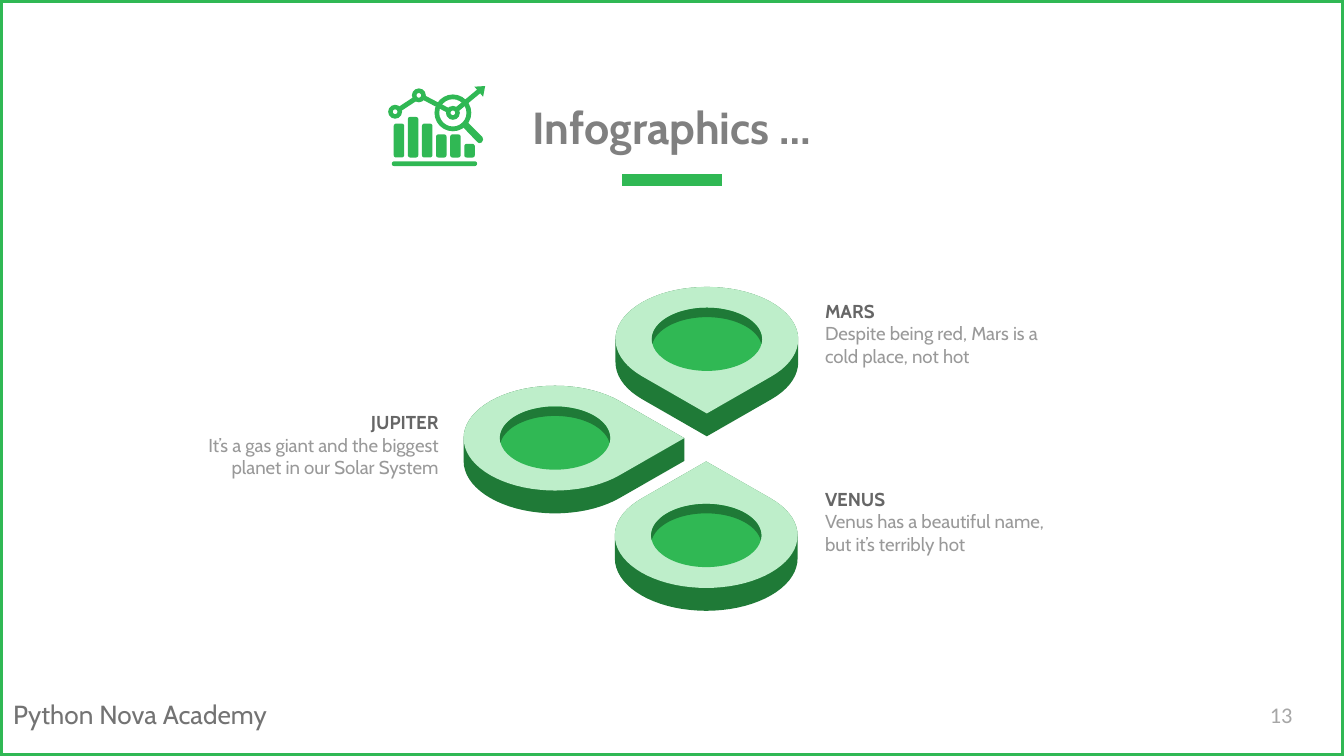
from dataclasses import dataclass
from math import asin, cos, degrees, radians, sin, sqrt

from lxml import etree
from pptx import Presentation
from pptx.dml.color import RGBColor
from pptx.enum.shapes import MSO_CONNECTOR, MSO_SHAPE
from pptx.enum.text import MSO_ANCHOR, PP_ALIGN
from pptx.oxml.ns import qn
from pptx.util import Inches, Pt

RECT, OVAL = MSO_SHAPE.RECTANGLE, MSO_SHAPE.OVAL
ROUNDED, RING = MSO_SHAPE.ROUNDED_RECTANGLE, MSO_SHAPE.DONUT
STRAIGHT = MSO_CONNECTOR.STRAIGHT
LEFT, CENTER, RIGHT = PP_ALIGN.LEFT, PP_ALIGN.CENTER, PP_ALIGN.RIGHT
TOP, MIDDLE, BOTTOM = MSO_ANCHOR.TOP, MSO_ANCHOR.MIDDLE, MSO_ANCHOR.BOTTOM

COLS, ROWS = 100, 56.25  # square grid cells, a tenth of an inch each
CELL = Inches(0.1)


@dataclass(frozen=True)
class Theme:
    green: str = "30B854"
    dark: str = "1F7A37"
    pale: str = "BEEECA"
    title: tuple = ("Cabin", 24, "808080", True)
    heading: tuple = ("Cabin", 10, "666666", True)
    body: tuple = ("Cabin", 10, "999999", False)
    footer: tuple = ("Cabin", 14, "737373", False)
    number: tuple = ("Calibri", 12, "A6A6A6", False)


def cells(*values):
    return [round(v * CELL) for v in values]


def arc(cx, cy, rx, ry, start, end, steps=54):
    """Points on an ellipse; degrees run clockwise from the right."""
    angles = [radians(start + (end - start) * i / steps) for i in range(steps + 1)]
    return [(cx + rx * cos(a), cy + ry * sin(a)) for a in angles]


class SlideBuilder:
    # Pin measures, in grid cells
    OUTER = (6.8, 3.9)
    HOLE = (4.1, 2.35)
    DEPTH = 1.7
    SHADE = 0.7

    def __init__(self, slide, theme):
        self.shapes, self.theme = slide.shapes, theme

    def paint(self, sp, color):
        sp.shadow.inherit = False
        sp.fill.solid()
        sp.fill.fore_color.rgb = RGBColor.from_string(color)
        sp.line.fill.background()

    def shape(self, kind, x, y, w, h, color, adjust=None):
        sp = self.shapes.add_shape(kind, *cells(x, y, w, h))
        self.paint(sp, color)
        if adjust is not None:
            sp.adjustments[0] = adjust
        return sp

    def polygon(self, points, color):
        start, *rest = [cells(*point) for point in points]
        builder = self.shapes.build_freeform(*start)
        builder.add_line_segments(rest, close=True)
        self.paint(builder.convert_to_shape(), color)

    def frame(self, color, width):
        sp = self.shape(RECT, 0, 0, COLS, ROWS, color)
        sp.fill.background()
        sp.line.color.rgb = RGBColor.from_string(color)
        sp.line.width = Pt(width)

    def rule(self, x1, x2, y, color, width):
        line = self.shapes.add_connector(STRAIGHT, *cells(x1, y, x2, y))
        line.line.color.rgb = RGBColor.from_string(color)
        line.line.width = Pt(width)
        etree.SubElement(line._element.spPr, qn("a:effectLst"))

    def text(self, x, y, w, h, lines, align=LEFT, anchor=TOP, inset=1):
        """Each line is a (text, style) pair and becomes a paragraph."""
        tf = self.shapes.add_textbox(*cells(x, y, w, h)).text_frame
        side, edge = cells(1, inset)
        frame_format = dict(word_wrap=True, vertical_anchor=anchor,
                            margin_left=side, margin_right=side,
                            margin_top=edge, margin_bottom=edge)
        for name, value in frame_format.items():
            setattr(tf, name, value)
        for i, (words, (font, size, color, bold)) in enumerate(lines):
            p = tf.add_paragraph() if i else tf.paragraphs[0]
            p.alignment = align
            r = p.add_run()
            r.text = words
            for name, value in dict(name=font, size=Pt(size), bold=bold).items():
                setattr(r.font, name, value)
            r.font.color.rgb = RGBColor.from_string(color)

    def pin(self, cx, cy, direction):
        """Isometric pin whose tip points to the direction in degrees."""
        t, (rx, ry) = self.theme, self.OUTER
        tip = arc(cx, cy, rx * sqrt(2), ry * sqrt(2), direction, direction, 1)[0]
        face = [tip] + arc(cx, cy, rx, ry, direction + 45, direction + 315)
        lower = sorted((x, y + self.DEPTH) for x, y in face if y > cy - 0.01)
        upper = sorted(((x, y) for x, y in face if y < cy + 0.01), reverse=True)
        self.polygon(lower + upper, t.dark)
        self.polygon(face, t.pale)

        rx, ry = self.HOLE
        self.shape(OVAL, cx - rx, cy - ry, 2 * rx, 2 * ry, t.green)
        cut = degrees(asin(self.SHADE / 2 / ry))
        self.polygon(arc(cx, cy, rx, ry, 180 - cut, 360 + cut)
                     + arc(cx, cy + self.SHADE, rx, ry, 360 - cut, 180 + cut),
                     t.dark)

    def chart_icon(self):
        green = self.theme.green
        for i, top in enumerate((9.2, 8.7, 9.2, 10, 10, 10.7)):
            self.shape(ROUNDED, 29.3 + 1.05 * i, top, 0.78, 11.72 - top, green, 0.22)
        self.shape(ROUNDED, 29.15, 12, 6.35, 0.36, green, 0.5)
        for cx, cy, r, band in ((29.4, 8.32, 0.52, 0.33), (31.17, 7.1, 0.52, 0.33),
                                (33.7, 8.4, 0.52, 0.33), (33.7, 8.4, 1.37, 0.13)):
            self.shape(RING, cx - r, cy - r, 2 * r, 2 * r, green, band)
        links = [
            [(29.8, 8.3), (29.6, 8), (30.8, 7.2), (31, 7.5)],
            [(33.3, 8.4), (31.4, 7.4), (31.6, 7.1), (33.5, 8.1)],
            [(34.1, 8.3), (33.9, 8), (35.7, 6.5), (35.9, 6.8)],
        ]
        arrowhead = [(35.3, 6.45), (36.1, 6.4), (35.95, 7.2)]
        handle = [(34.35, 9.35), (34.7, 9), (35.9, 10.2), (35.95, 10.4),
                  (35.85, 10.6), (35.65, 10.65), (35.5, 10.55)]
        for points in (*links, arrowhead, handle):
            self.polygon(points, green)


def main():
    prs = Presentation()
    prs.slide_width, prs.slide_height = cells(COLS, ROWS)
    theme = Theme()
    s = SlideBuilder(prs.slides.add_slide(prs.slide_layouts[6]), theme)

    s.text(0, 51.5, 25.5, 3.4, [("Python Nova Academy", theme.footer)], inset=0.5)
    s.frame(theme.green, 3)
    s.rule(46.3, 53.7, 13.4, theme.green, 6)
    s.text(0, 2.4, COLS, 10, [("Infographics …", theme.title)], CENTER, BOTTOM)
    s.text(93.5, 51, 6, 4.3, [("13", theme.number)], anchor=MIDDLE)

    planets = [
        ("JUPITER", "It’s a gas giant and the biggest planet in our Solar System",
         (10.9, 29.6, 22.7, 7.7), RIGHT, (41.3, 32.6, 0)),
        ("MARS", "Despite being red, Mars is a cold place, not hot",
         (60.4, 21.3, 19.1, 8.2), LEFT, (52.6, 25.25, 90)),
        ("VENUS", "Venus has a beautiful name, but it’s terribly hot",
         (60.4, 35.3, 20.1, 11.2), LEFT, (52.55, 39.85, 270)),
    ]
    for name, fact, box, align, pin in planets:
        s.text(*box, [(name, theme.heading), (fact, theme.body)], align)
        s.pin(*pin)
    s.chart_icon()

    prs.save("out.pptx")


if __name__ == "__main__":
    main()
